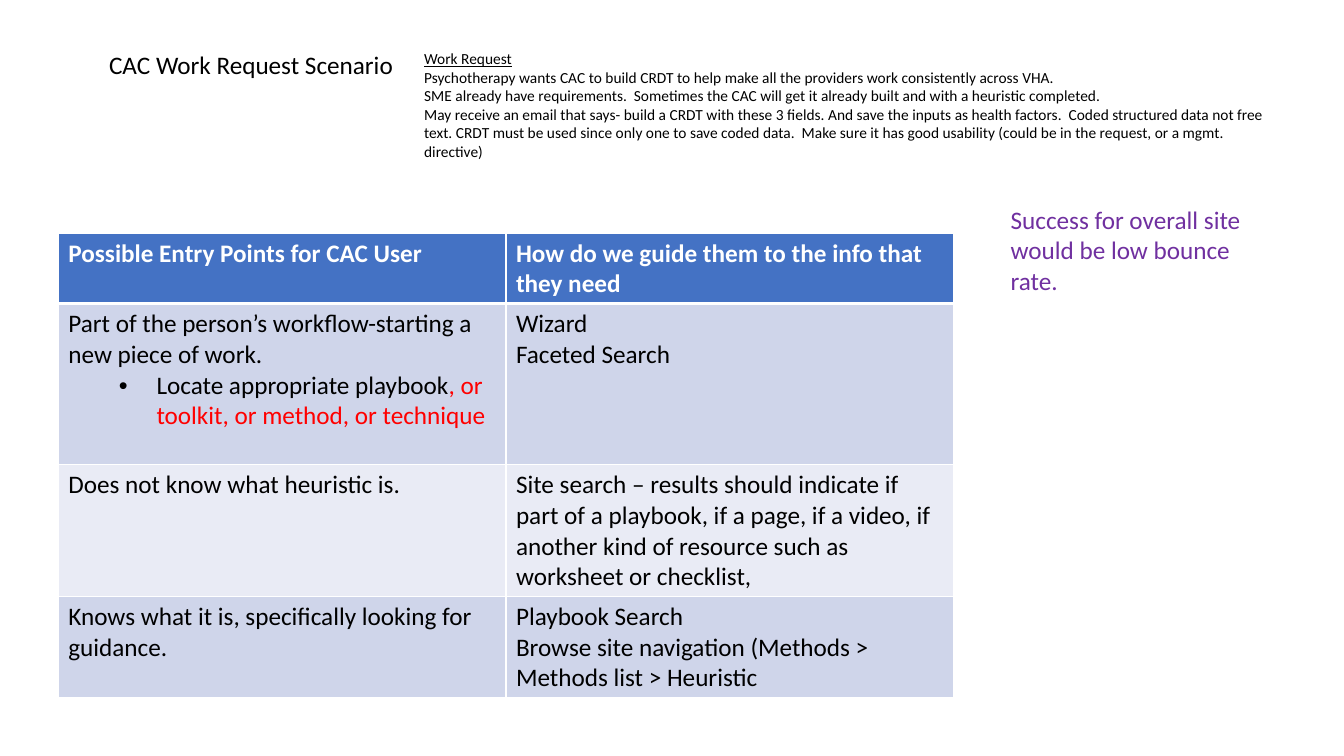
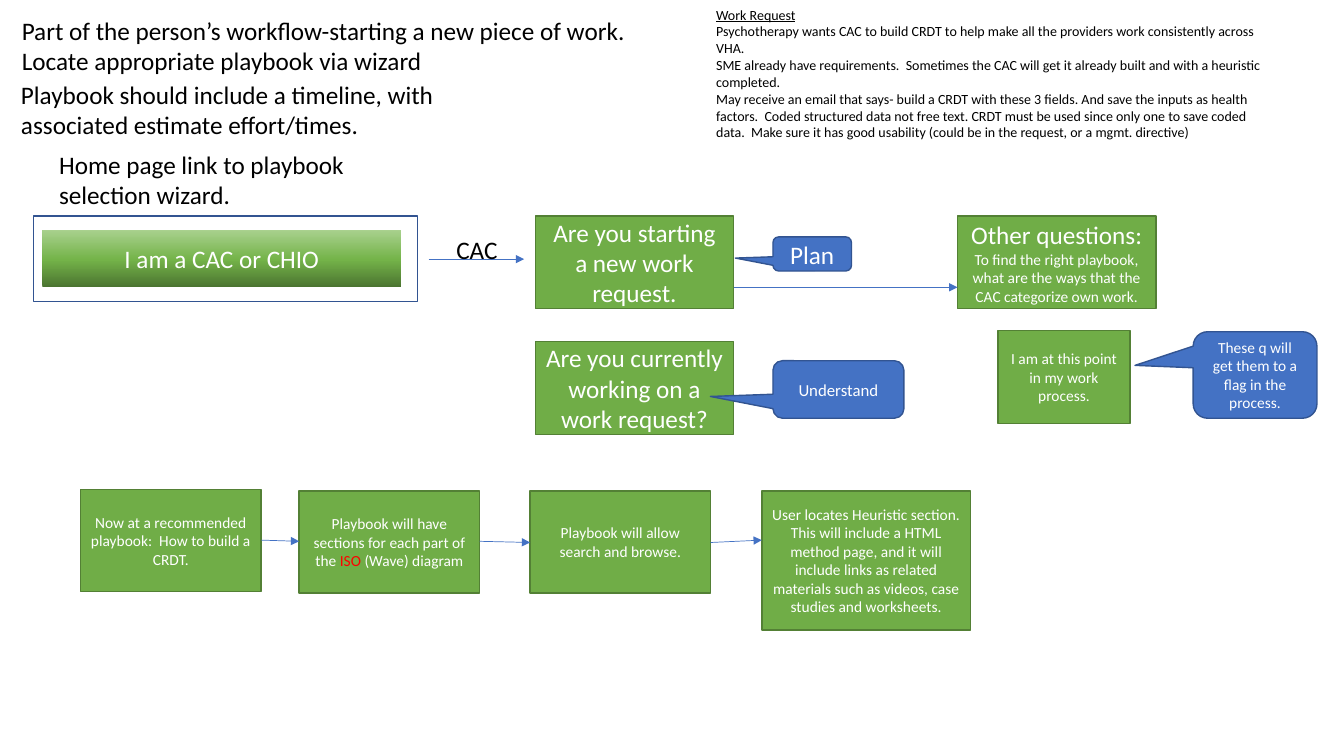
from copy import deepcopy
from itertools import pairwise

from lxml.etree import SubElement
from pptx import Presentation
from pptx.dml.color import RGBColor
from pptx.enum.shapes import MSO_CONNECTOR, MSO_SHAPE
from pptx.enum.text import MSO_ANCHOR, PP_ALIGN
from pptx.oxml.ns import qn
from pptx.util import Cm, Pt

FONT = "Calibri"
BLACK = RGBColor(0, 0, 0)
WHITE = RGBColor(255, 255, 255)
RED = RGBColor(255, 0, 0)
PURPLE = RGBColor(0x70, 0x30, 0xA0)
BLUE = RGBColor(0x44, 0x72, 0xC4)
NAVY = RGBColor(0x32, 0x54, 0x91)
GREEN = RGBColor(0x70, 0xAD, 0x47)
FOREST = RGBColor(0x53, 0x80, 0x35)
BANDS = [RGBColor(0xCF, 0xD5, 0xEA), RGBColor(0xE9, 0xEB, 0xF5)]
SHADES = [(0, RGBColor(0x4B, 0x74, 0x30)), (0.48, RGBColor(0x74, 0xB3, 0x49)),
          (1, RGBColor(0xA9, 0xD1, 0x8E))]

# A paragraph is a string or a list of runs; a run is a string or (text, format).
REQUEST = [
    [("Work Request", {"underline": True})],
    "Psychotherapy wants CAC to build CRDT to help make all the providers work "
    "consistently across VHA.",
    "SME already have requirements.  Sometimes the CAC will get it already built "
    "and with a heuristic completed.",
    "May receive an email that says- build a CRDT with these 3 fields. And save the "
    "inputs as health factors.  Coded structured data not free text. CRDT must be used "
    "since only one to save coded data.  Make sure it has good usability (could be in "
    "the request, or a mgmt. directive)",
]
HEADS = ["Possible Entry Points for CAC User",
         "How do we guide them to the info that they need"]
ENTRIES = [
    (["Part of the person’s workflow-starting a new piece of work.",
      ["Locate appropriate playbook",
       (", or toolkit, or method, or technique", {"color": RED})]],
     ["Wizard", "Faceted Search"]),
    (["Does not know what heuristic is."],
     ["Site search – results should indicate if part of a playbook, if a page, if a "
      "video, if another kind of resource such as worksheet or checklist,"]),
    (["Knows what it is, specifically looking for guidance."],
     ["Playbook Search", "Browse site navigation (Methods > Methods list > Heuristic"]),
]
HEIGHTS = [1.76, 4.06, 3.32, 2.52]
COLUMN = 11.28

# Boxes are left, top, width, height in centimetres.
LABELS = [
    ((0.3, 0.25, 16.94, 1.8),
     ["Part of the person’s workflow-starting a new piece of work.",
      "Locate appropriate playbook via wizard"]),
    ((0.28, 1.88, 13.08, 1.8),
     ["Playbook should include a timeline, with associated estimate effort/times."]),
    ((1.24, 3.63, 8.86, 1.8), ["Home page link to playbook selection wizard."]),
    ((11.25, 5.79, 1.7, 1.02), ["CAC"]),
]
QUESTIONS = [
    ((13.49, 5.44, 5, 2.34), 18, ["Are you starting a new work request."]),
    ((13.49, 8.61, 5, 2.34), 18, ["Are you currently working on a work request?"]),
    ((24.13, 5.44, 5, 2.34), 11,
     [[("Other questions:", {"size": 18})],
      "To find the right playbook, what are the ways that the CAC categorize own work."]),
    ((25.15, 8.33, 3.33, 2.34), 11, ["I am at this point in my work process."]),
]
CALLOUTS = [
    ((19.48, 5.97, 1.98, 0.86), (-0.978, 0.122), 18, "Plan"),
    ((19.48, 9.09, 3.3, 1.45), (-0.978, 0.122), 12, "Understand"),
    ((30.07, 8.36, 3.12, 2.18), (-0.97, -0.111), 11,
     "These q will get them to a flag in the process."),
]
# Each step also has the height at which arrows meet it.
STEPS = [
    ((2.03, 12.34, 4.55, 2.57), 13.61,
     "Now at a recommended playbook:  How to build a CRDT."),
    ((7.54, 12.37, 4.55, 2.57), 13.64,
     ["Playbook will have sections for each part of the ", ("ISO", {"color": RED}),
      " (Wave) diagram"]),
    ((13.36, 12.37, 4.55, 2.57), 13.67, "Playbook will allow search and browse."),
    ((19.2, 12.37, 5.26, 3.51), 13.61,
     "User locates Heuristic section. This will include a HTML method page, and it will "
     "include links as related materials such as videos, case studies and worksheets."),
]
ARROWS = [((10.8, 6.53), (13.21, 6.53)), ((18.49, 7.24), (24.13, 7.24))]


def write(frame, paras, size=18, color=BLACK, bold=False, align=PP_ALIGN.LEFT):
    frame.word_wrap = True
    for i, runs in enumerate(paras):
        para = frame.paragraphs[0] if i == 0 else frame.add_paragraph()
        para.alignment = align
        for item in [runs] if isinstance(runs, str) else runs:
            text, extra = (item, {}) if isinstance(item, str) else item
            run = para.add_run()
            run.text = text
            font = run.font
            font.name, font.bold = FONT, bold
            font.size = Pt(extra.get("size", size))
            font.color.rgb = extra.get("color", color)
            font.underline = extra.get("underline", False)


def label(slide, box, paras, **style):
    write(slide.shapes.add_textbox(*map(Cm, box)).text_frame, paras, **style)


def block(slide, box, paras=(), size=18, fill=GREEN, line=FOREST,
          kind=MSO_SHAPE.RECTANGLE):
    shape = slide.shapes.add_shape(kind, *map(Cm, box))
    shape.shadow.inherit = False
    if fill:
        shape.fill.solid()
        shape.fill.fore_color.rgb = fill
    else:
        shape.fill.background()
    if line:
        shape.line.color.rgb = line
        shape.line.width = Pt(1)
    else:
        shape.line.fill.background()
    shape.text_frame.vertical_anchor = MSO_ANCHOR.MIDDLE
    write(shape.text_frame, paras, size=size, color=WHITE, align=PP_ALIGN.CENTER)
    return shape


def shade(shape):
    """Fill with the green gradient, darkest at the foot."""
    fill = shape.fill
    fill.gradient()
    fill.gradient_angle = 90
    stops = shape._element.spPr.find(".//" + qn("a:gsLst"))
    stops.append(deepcopy(stops[0]))
    for stop, (place, color) in zip(fill.gradient_stops, SHADES):
        stop.position = place
        stop.color.rgb = color


def arrow(slide, start, end):
    link = slide.shapes.add_connector(MSO_CONNECTOR.STRAIGHT, *map(Cm, start + end))
    link.line.color.rgb = BLUE
    link.line.width = Pt(0.5)
    SubElement(link.line._get_or_add_ln(), qn("a:tailEnd"), type="triangle")
    SubElement(link._element.spPr, qn("a:effectLst"))


def bullet(para):
    props = para._p.get_or_add_pPr()
    props.set("marL", str(Cm(2.22)))
    props.set("indent", str(Cm(-0.95)))
    SubElement(props, qn("a:buFont"), typeface="Arial")
    SubElement(props, qn("a:buChar"), char="•")


def border(cell, **widths):
    """Draw white edges; widths are points by side, L, R, T, B in that order."""
    props = cell._tc.get_or_add_tcPr()
    for side, width in widths.items():
        edge = SubElement(props, qn("a:ln" + side), w=str(Pt(width)))
        fill = SubElement(edge, qn("a:solidFill"))
        SubElement(fill, qn("a:srgbClr"), val=str(WHITE))


def grid(slide):
    rows = [[[head] for head in HEADS], *ENTRIES]
    table = slide.shapes.add_table(len(rows), len(HEADS), Cm(1.47), Cm(5.87),
                                   Cm(COLUMN * 2), Cm(sum(HEIGHTS))).table
    for col in table.columns:
        col.width = Cm(COLUMN)
    for r, texts in enumerate(rows):
        table.rows[r].height = Cm(HEIGHTS[r])
        head = r == 0
        for c, paras in enumerate(texts):
            cell = table.cell(r, c)
            border(cell, L=1, R=1, T=3 if r == 1 else 1, B=3 if head else 1)
            cell.fill.solid()
            cell.fill.fore_color.rgb = BLUE if head else BANDS[(r - 1) % 2]
            write(cell.text_frame, paras, color=WHITE if head else BLACK, bold=head)
    bullet(table.cell(1, 0).text_frame.paragraphs[1])


def entry(slide):
    label(slide, (2.5, 1.12, 26.75, 1.02), ["CAC Work Request Scenario"])
    label(slide, (10.44, 1.12, 22.17, 3.07), REQUEST, size=11)
    grid(slide)
    label(slide, (25.22, 5.03, 6.4, 2.57),
          ["Success for overall site would be low bounce rate."], color=PURPLE)


def flow(slide):
    block(slide, (0.84, 5.44, 9.68, 2.16), fill=None, line=NAVY)
    shade(block(slide, (1.07, 5.79, 9.04, 1.45), ["I am a CAC or CHIO"], line=None))
    label(slide, (17.8, 0.03, 14.27, 3.68), REQUEST, size=10)
    for box, size, paras in QUESTIONS:
        block(slide, box, paras, size)
    for box, tip, size, text in CALLOUTS:
        shape = block(slide, box, [text], size, BLUE, NAVY,
                      MSO_SHAPE.ROUNDED_RECTANGULAR_CALLOUT)
        shape.adjustments[0], shape.adjustments[1] = tip
    for box, _, text in STEPS:
        block(slide, box, [text], 11)
    links = [((a[0] + a[2], y), (b[0], end))
             for (a, y, _), (b, end, _) in pairwise(STEPS)]
    for start, end in ARROWS + links:
        arrow(slide, start, end)
    for box, paras in LABELS:
        label(slide, box, paras)


def main():
    deck = Presentation()
    deck.slide_width, deck.slide_height = Cm(33.87), Cm(19.05)
    for draw in (entry, flow):
        draw(deck.slides.add_slide(deck.slide_layouts[6]))
    deck.save("out.pptx")


if __name__ == "__main__":
    main()
